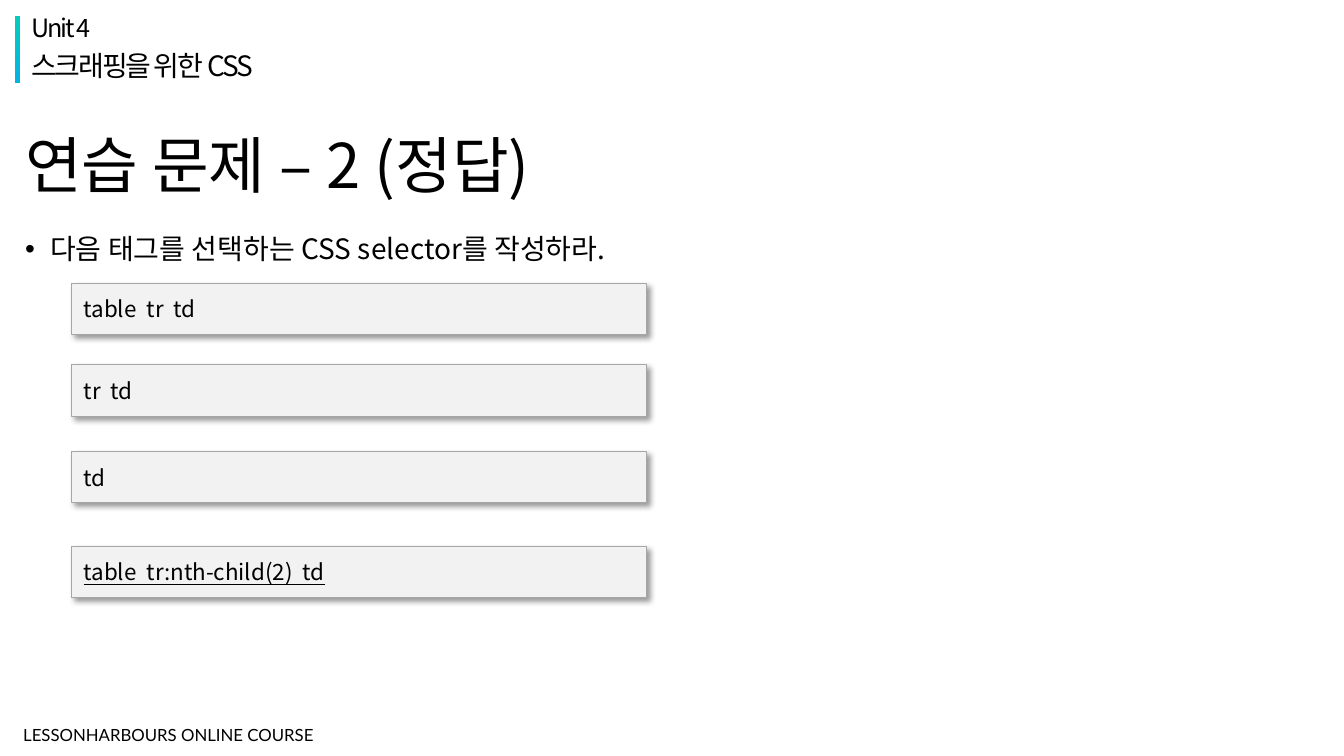
from dataclasses import dataclass

from lxml.etree import SubElement
from pptx import Presentation
from pptx.dml.color import RGBColor
from pptx.enum.shapes import MSO_SHAPE as Shape
from pptx.enum.text import MSO_ANCHOR as Anchor, PP_ALIGN as Align
from pptx.oxml.ns import qn
from pptx.util import Emu, Pt

EMU_PER_PX = 9144
EMU_PER_POINT = 12700
KOREAN_FONT = "Noto Sans CJK KR"
BLACK = "000000"


@dataclass
class Label:
    text: str
    left: int
    top: int
    width: int
    height: int
    size: int
    font: str = KOREAN_FONT
    anchor: Anchor = Anchor.TOP
    inset_x: int = 10
    inset_y: int = 5
    line_spacing: float = 1.0
    space_before: int = 0
    tracking: int = 0  # hundredths of a point
    bullet: bool = False
    underline: bool = False


@dataclass
class Answer:
    selector: str
    top: int
    underline: bool = False


LABELS = [
    Label("LESSONHARBOURS ONLINE COURSE", 15, 711, 397, 36, 12, font="Lato",
          anchor=Anchor.MIDDLE, inset_x=8, inset_y=8),
    Label("연습 문제 – 2 (정답)", 15, 125, 1150, 85, 44,
          anchor=Anchor.MIDDLE, line_spacing=0.9),
    Label("Unit 4", 21, 11, 805, 34, 18,
          line_spacing=0.9, space_before=10, tracking=-150),
    Label("스크래핑을 위한 CSS", 21, 47, 805, 34, 20,
          line_spacing=0.9, space_before=10, tracking=-150),
    Label("다음 태그를 선택하는 CSS selector를 작성하라.", 15, 225, 1150, 126, 20,
          space_before=10, bullet=True),
]
ANSWERS = [
    Answer("table  tr  td", 281),
    Answer("tr  td", 362),
    Answer("td", 448),
    Answer("table  tr:nth-child(2)  td", 542, underline=True),
]


def px(length: int) -> Emu:
    return Emu(length * EMU_PER_PX)


def rgb(color: str) -> RGBColor:
    return RGBColor.from_string(color)


def add_rectangle(page, left: int, top: int, width: int, height: int):
    box = page.shapes.add_shape(
        Shape.RECTANGLE, px(left), px(top), px(width), px(height))
    box.shadow.inherit = False
    return box


def write_label(box, label: Label) -> None:
    frame = box.text_frame
    frame.word_wrap = True
    frame.vertical_anchor = label.anchor
    frame.margin_left = frame.margin_right = px(label.inset_x)
    frame.margin_top = frame.margin_bottom = px(label.inset_y)
    para = frame.paragraphs[0]
    para.text = label.text
    para.alignment = Align.LEFT
    para.line_spacing = label.line_spacing
    para.space_before = Pt(label.space_before)
    properties = para._p.get_or_add_pPr()
    if label.bullet:
        properties.set("marL", str(px(25)))
        properties.set("indent", str(px(-25)))
        SubElement(properties, qn("a:buFont"), typeface="Arial")
        SubElement(properties, qn("a:buChar"), char="•")
    font = para.font
    font.name = label.font
    font.size = Pt(label.size)
    font.color.rgb = rgb(BLACK)
    if label.underline:
        font.underline = True
    defaults = properties.find(qn("a:defRPr"))
    SubElement(defaults, qn("a:ea"), typeface=label.font)
    if label.tracking:
        defaults.set("spc", str(label.tracking))


def add_label(page, label: Label) -> None:
    box = page.shapes.add_textbox(
        px(label.left), px(label.top), px(label.width), px(label.height))
    write_label(box, label)


def add_drop_shadow(box) -> None:
    """Fill the box's empty effect list with a soft shadow to the lower right."""
    effects = box._element.spPr.find(qn("a:effectLst"))
    shadow = SubElement(
        effects, qn("a:outerShdw"), blurRad=str(4 * EMU_PER_POINT),
        dist=str(3 * EMU_PER_POINT), dir=str(45 * 60000),
        algn="tl", rotWithShape="0")
    color = SubElement(shadow, qn("a:srgbClr"), val=BLACK)
    SubElement(color, qn("a:alpha"), val="40000")


def add_answer(page, answer: Answer) -> None:
    label = Label(answer.selector, 71, answer.top, 570, 51, 16,
                  inset_x=12, inset_y=12, underline=answer.underline)
    box = add_rectangle(page, label.left, label.top, label.width, label.height)
    box.fill.solid()
    box.fill.fore_color.rgb = rgb("F2F2F2")
    box.line.color.rgb = rgb("A6A6A6")
    box.line.width = Pt(0.75)
    add_drop_shadow(box)
    write_label(box, label)


def add_accent_bar(page) -> None:
    bar = add_rectangle(page, 15, 16, 5, 66)
    bar.line.fill.background()
    bar.fill.gradient()
    bar.fill.gradient_angle = 270
    for stop, color in zip(bar.fill.gradient_stops, ("02CCBA", "02B3E4")):
        stop.color.rgb = rgb(color)


def main() -> None:
    deck = Presentation()
    deck.slide_width, deck.slide_height = px(1333), px(750)
    page = deck.slides.add_slide(deck.slide_layouts[6])
    add_accent_bar(page)
    for label in LABELS:
        add_label(page, label)
    for answer in ANSWERS:
        add_answer(page, answer)
    deck.save("out.pptx")


if __name__ == "__main__":
    main()
